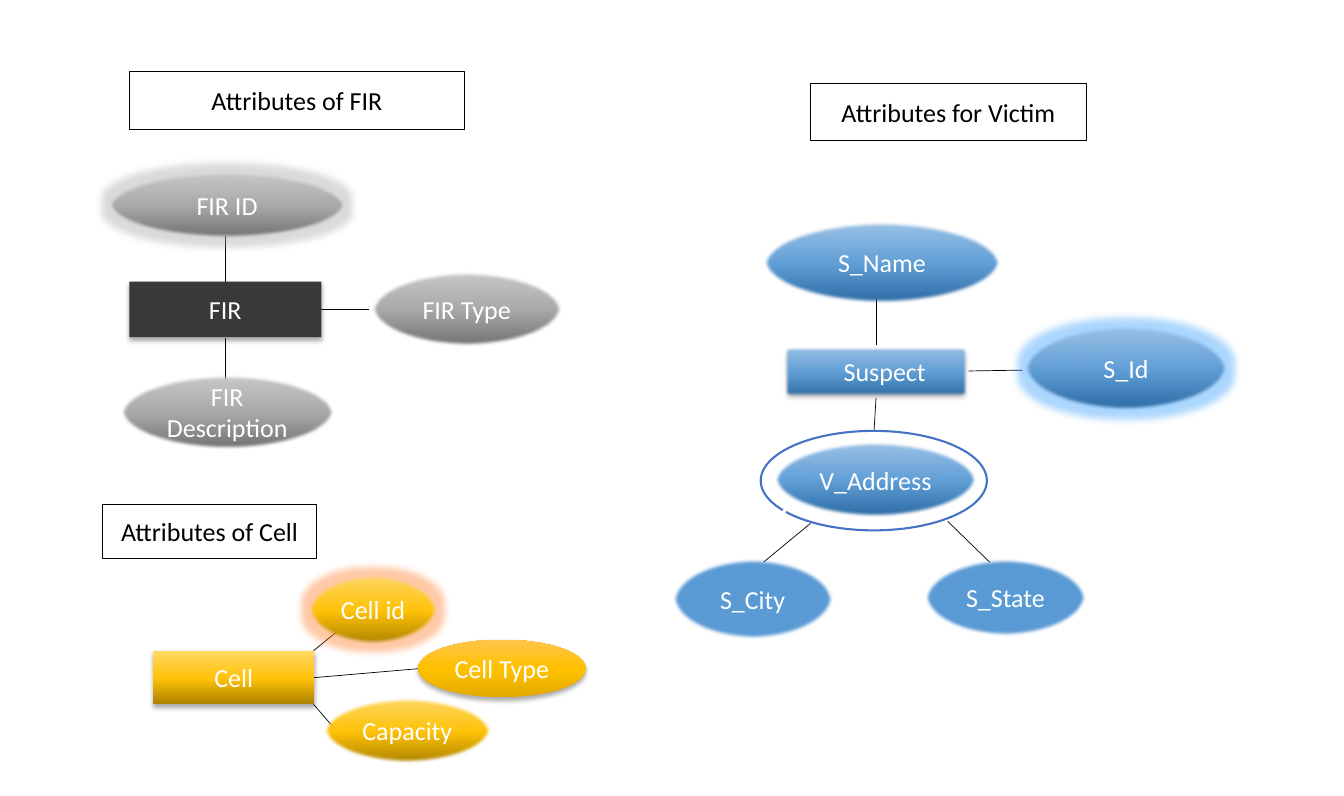
from lxml.etree import SubElement
from copy import deepcopy
from pptx import Presentation
from pptx.dml.color import RGBColor
from pptx.enum.shapes import MSO_CONNECTOR, MSO_SHAPE
from pptx.enum.text import MSO_ANCHOR, PP_ALIGN
from pptx.oxml.ns import qn
from pptx.util import Cm, Pt

BLACK = RGBColor(0x00, 0x00, 0x00)
WHITE = RGBColor(0xFF, 0xFF, 0xFF)
CHARCOAL = RGBColor(0x3B, 0x38, 0x38)
SKY = RGBColor(0x5B, 0x9B, 0xD5)
ROYAL = RGBColor(0x44, 0x72, 0xC4)
GRAY_GLOW = RGBColor(0xA5, 0xA5, 0xA5)
BLUE_GLOW = RGBColor(0x2E, 0x9B, 0xFF)
PEACH_GLOW = RGBColor(0xFF, 0x78, 0x20)

# Gradients run from bottom to top
GRAY = [(0, RGBColor(0x6F, 0x6F, 0x6F)), (0.48, RGBColor(0xA8, 0xA8, 0xA8)),
        (1, RGBColor(0xC9, 0xC9, 0xC9))]
BLUE = [(0, RGBColor(0x2A, 0x69, 0xA2)), (0.48, RGBColor(0x60, 0x9E, 0xD6)),
        (1, RGBColor(0x9D, 0xC3, 0xE6))]
GOLD = [(0, RGBColor(0xAB, 0x81, 0x00)), (0.48, RGBColor(0xFF, 0xC2, 0x08)),
        (1, RGBColor(0xFF, 0xD9, 0x66))]
AMBER = [(0, RGBColor(0xE3, 0xAB, 0x00)), (0.5, RGBColor(0xFF, 0xC0, 0x00)),
         (1, RGBColor(0xFF, 0xC6, 0x4B))]

RECT, OVAL = MSO_SHAPE.RECTANGLE, MSO_SHAPE.OVAL
FONT = {"name": "Calibri", "size": Pt(18.8)}

# Start x, y and end x, y in cm
LINKS = [
    (5.74, 7.19, 5.74, 6.02), (8.2, 7.9, 9.42, 7.9), (5.74, 8.64, 5.74, 9.7),
    (22.35, 8.81, 22.35, 7.54), (24.71, 9.47, 26.09, 9.45),
    (22.35, 10.16, 22.3, 11), (20.68, 13.36, 19.48, 14.35),
    (24.18, 13.31, 25.25, 14.35), (8, 16.61, 8.81, 15.95),
    (8, 17.98, 8.51, 18.57), (8, 17.3, 10.67, 17.07),
]

# Text, kind, box in cm, fill, glow colour, shadow, soft edge
NODES = [
    ("FIR", RECT, (3.3, 7.19, 4.9, 1.42), CHARCOAL, None, True, False),
    ("FIR ID", OVAL, (2.77, 4.37, 6.05, 1.73), GRAY, GRAY_GLOW, False, True),
    ("FIR Type", OVAL, (9.47, 6.93, 4.88, 1.93), GRAY, None, False, True),
    ("FIR Description", OVAL, (3.07, 9.55, 5.46, 1.93), GRAY, None, False, True),
    ("Attributes of FIR", RECT, (3.3, 1.83, 8.56, 1.47), None, None, False, False),
    ("Suspect", RECT, (19.99, 8.81, 4.72, 1.35), BLUE, None, True, True),
    ("S_Name", OVAL, (19.48, 5.66, 6.05, 2.08), BLUE, None, False, True),
    ("S_Id", OVAL, (26.14, 8.31, 5.18, 2.18), BLUE, BLUE_GLOW, False, True),
    ("V_Address", OVAL, (19.76, 11.28, 5.16, 1.93), BLUE, None, False, True),
    ("S_City", OVAL, (17.15, 14.25, 4.11, 2.08), SKY, None, False, True),
    ("S_State", OVAL, (23.6, 14.25, 4.11, 2.01), SKY, None, False, True),
    ("Attributes for Victim", RECT, (20.68, 2.13, 7.04, 1.47), None, None, False, False),
    ("Cell", RECT, (3.91, 16.61, 4.11, 1.37), GOLD, None, True, False),
    ("Cell id", OVAL, (7.87, 14.66, 3.3, 1.8), GOLD, PEACH_GLOW, False, True),
    ("Capacity", OVAL, (8.26, 17.81, 4.27, 1.68), GOLD, None, False, True),
    ("Attributes of Cell", RECT, (2.62, 12.88, 5.46, 1.37), None, None, False, False),
    ("Cell Type", OVAL, (10.67, 16.33, 4.27, 1.47), AMBER, None, True, False),
]


def paint(shape, fill):
    """Fill with nothing, one colour or a list of gradient stops."""
    if fill is None:
        shape.fill.background()
    elif isinstance(fill, RGBColor):
        shape.fill.solid()
        shape.fill.fore_color.rgb = fill
    else:
        shape.fill.gradient()
        shape.fill.gradient_angle = 90
        stops = shape._element.spPr.find(".//" + qn("a:gsLst"))
        stops.append(deepcopy(stops[-1]))
        for stop, (place, color) in zip(shape.fill.gradient_stops, fill):
            stop.position = place
            stop.color.rgb = color


def add_effect(shape, tag, color=None, alpha=0, **values):
    effects = shape._element.spPr.find(qn("a:effectLst"))
    effect = SubElement(effects, qn(tag), {k: str(v) for k, v in values.items()})
    if color is not None:
        tint = SubElement(effect, qn("a:srgbClr"), val=str(color))
        SubElement(tint, qn("a:alpha"), val=str(alpha * 1000))


deck = Presentation()
deck.slide_width, deck.slide_height = Cm(34.29), Cm(20.32)
slide = deck.slides.add_slide(deck.slide_layouts[6])

for ends in LINKS:
    link = slide.shapes.add_connector(MSO_CONNECTOR.STRAIGHT, *map(Cm, ends))
    link.line.color.rgb = BLACK
    link.line.width = Pt(0.5)
    SubElement(link._element.spPr, qn("a:effectLst"))

for text, kind, box, fill, glow, shadow, soft in NODES:
    node = slide.shapes.add_shape(kind, *map(Cm, box))
    node.shadow.inherit = False
    paint(node, fill)
    if fill is None:
        node.line.color.rgb = BLACK
        node.line.width = Pt(0.75)
    else:
        node.line.fill.background()
    if glow is not None:
        add_effect(node, "a:glow", glow, 40, rad=Pt(11))
    if shadow:
        add_effect(node, "a:outerShdw", BLACK, 32, blurRad=Pt(3.5),
                   dist=Pt(2.2), dir=5400000, rotWithShape=0)
    if soft:
        add_effect(node, "a:softEdge", rad=Pt(2.5))
    frame = node.text_frame
    frame.word_wrap = True
    frame.vertical_anchor = MSO_ANCHOR.MIDDLE
    if text == "Suspect":
        frame.margin_left = Cm(0.7)
    line = frame.paragraphs[0]
    line.alignment = PP_ALIGN.CENTER
    run = line.add_run()
    run.text = text
    for name, value in FONT.items():
        setattr(run.font, name, value)
    run.font.color.rgb = BLACK if fill is None else WHITE

ring = slide.shapes.add_shape(MSO_SHAPE.ARC, Cm(19.41), Cm(11), Cm(5.77), Cm(2.54))
ring.shadow.inherit = False
ring.fill.background()
ring.line.color.rgb = ROYAL
ring.line.width = Pt(1.5)
for spot, angle in enumerate((162, 160.38)):
    ring.adjustments[spot] = angle * 0.6  # 60000 units to the degree

deck.save("out.pptx")
